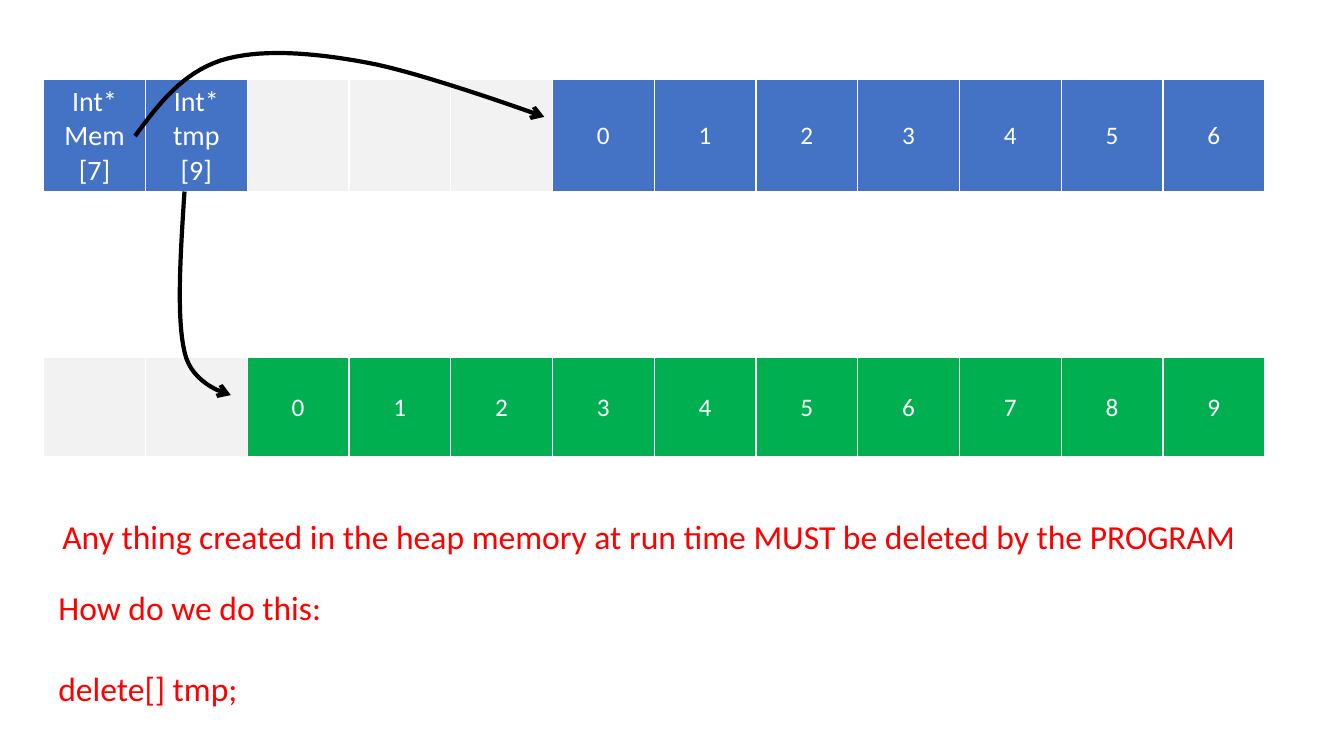
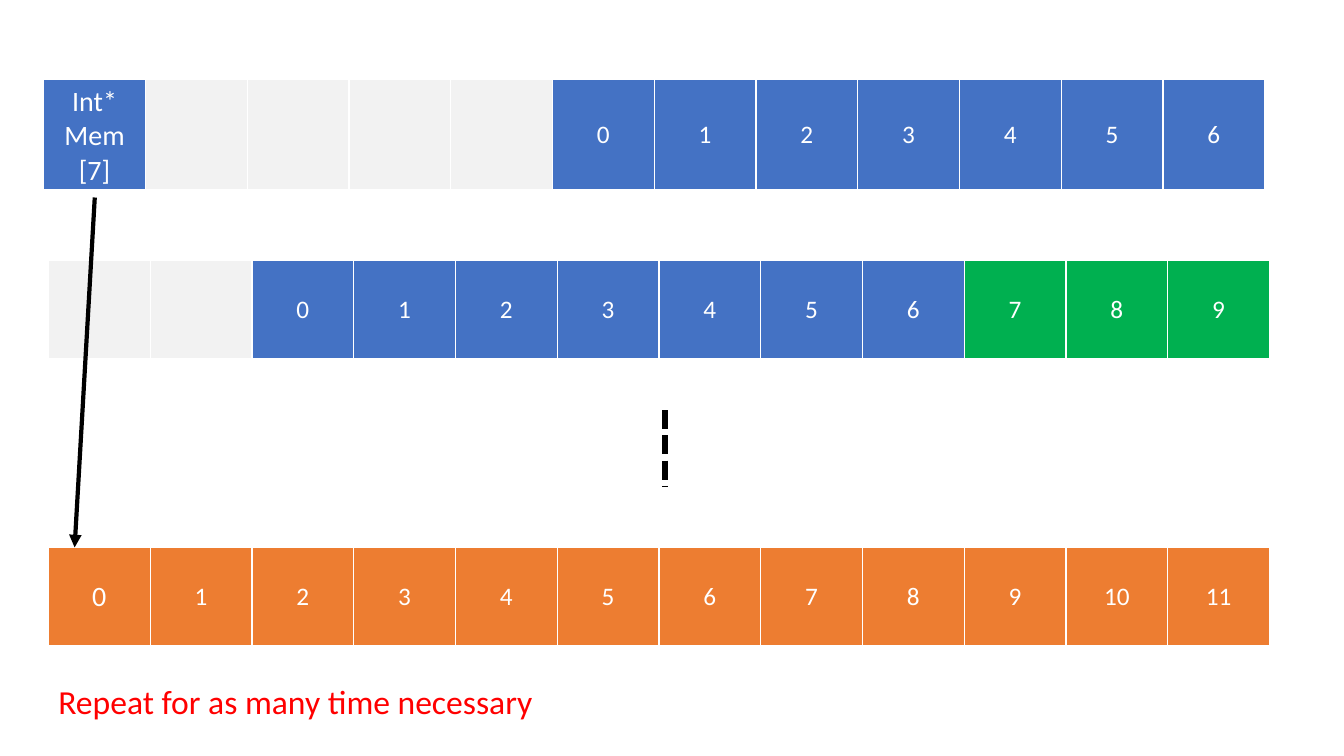
"""Build two slides on how heap memory is handed out, copied and freed."""
from dataclasses import dataclass

from lxml.etree import SubElement
from pptx import Presentation
from pptx.dml.color import RGBColor
from pptx.enum.dml import MSO_LINE
from pptx.enum.shapes import MSO_CONNECTOR
from pptx.enum.text import MSO_ANCHOR, MSO_AUTO_SIZE, PP_ALIGN
from pptx.oxml.ns import qn
from pptx.util import Pt


@dataclass(frozen=True)
class Theme:
    font: str = "Calibri"
    white: str = "FFFFFF"
    black: str = "000000"
    red: str = "FF0000"
    blue: str = "4472C4"
    green: str = "00B050"
    orange: str = "ED7D31"
    grey: str = "F2F2F2"
    note: int = 24
    label: int = 20
    digit: int = 18


T = Theme()
WIDE, HIGH = 960, 540
CELL, ROW, TALL = 72.7, 71.3, 79.2
LEFT, INSET = 31.2, 34.6
NOTE_W = 865.4
STEPS = 16


def free(count):
    return [("", T.grey, T.digit)] * count


def run(first, stop, fill):
    return [(str(n), fill, T.digit) for n in range(first, stop)]


MEM = ("Int* Mem [7]", T.blue, T.label)
TMP = ("Int* tmp [9]", T.blue, T.label)

SLIDES = [
    {
        "rows": [
            (LEFT, 57, TALL, [MEM, TMP] + free(3) + run(0, 7, T.blue)),
            (LEFT, 255.6, ROW, free(2) + run(0, 10, T.green)),
        ],
        "notes": [
            (37.4, 365, 36, ["Any thing created in the heap memory at run time "
                             "MUST be deleted by the PROGRAM"]),
            (34.6, 415.4, 94.3, ["How do we do this:", "delete[] tmp;"]),
        ],
        "curves": [
            [(131.8, 136.8), (128.9, 181.4), (126, 226.8), (131.8, 251.3),
             (136.8, 275.8), (164.9, 282.2), (164.9, 282.2)],
            [(96.5, 97.2), (113, 74.9), (129.6, 52.6), (157.7, 43.2),
             (185, 34.6), (222.5, 37.4), (261.4, 44.6),
             (299.5, 51.1), (388.8, 83.5), (388.8, 83.5)],
        ],
        "lines": [],
    },
    {
        "rows": [
            (LEFT, 57, TALL, [MEM] + free(4) + run(0, 7, T.blue)),
            (INSET, 186, ROW, free(2) + run(0, 7, T.blue) + run(7, 10, T.green)),
            (INSET, 391, ROW, [("0", T.orange, T.label)] + run(1, 12, T.orange)),
        ],
        "notes": [(34.6, 483.1, 36, ["Repeat for as many time necessary"])],
        "curves": [],
        "lines": [
            ((475.2, 293), (475.2, 347.8), 4.5, MSO_LINE.SQUARE_DOT, None),
            ((67.7, 141.1), (53.3, 391), 3, None, "triangle"),
        ],
    },
]


def color(code):
    return RGBColor.from_string(code)


def write(para, text, size, ink):
    part = para.add_run()
    part.text = text
    part.font.name, part.font.size, part.font.bold = T.font, Pt(size), False
    part.font.color.rgb = color(ink)


def edge(cell):
    props = cell._tc.get_or_add_tcPr()
    for side, width in (("L", 1), ("R", 1), ("T", 1), ("B", 3)):
        line = SubElement(props, qn(f"a:ln{side}"), w=str(Pt(width)))
        fill = SubElement(line, qn("a:solidFill"))
        SubElement(fill, qn("a:srgbClr"), val=T.white)


def add_row(slide, left, top, height, cells):
    table = slide.shapes.add_table(1, len(cells), Pt(left), Pt(top),
                                   Pt(CELL * len(cells)), Pt(height)).table
    table.first_row = table.horz_banding = False
    for col, (text, fill, size) in enumerate(cells):
        table.columns[col].width = Pt(CELL)
        cell = table.cell(0, col)
        edge(cell)
        cell.fill.solid()
        cell.fill.fore_color.rgb = color(fill)
        cell.vertical_anchor = MSO_ANCHOR.MIDDLE
        para = cell.text_frame.paragraphs[0]
        para.alignment = PP_ALIGN.CENTER
        if text:
            write(para, text, size, T.white)


def add_note(slide, left, top, height, texts):
    frame = slide.shapes.add_textbox(Pt(left), Pt(top), Pt(NOTE_W),
                                     Pt(height)).text_frame
    frame.word_wrap = True
    frame.auto_size = MSO_AUTO_SIZE.SHAPE_TO_FIT_TEXT
    for i, text in enumerate(texts):
        para = frame.add_paragraph() if i else frame.paragraphs[0]
        if i:
            para.space_before = Pt(29)
        write(para, text, T.note, T.red)


def ink_line(shape, width, dash, head):
    shape.line.color.rgb = color(T.black)
    shape.line.width = Pt(width)
    if dash:
        shape.line.dash_style = dash
    props = shape._element.spPr
    if head:
        SubElement(props.find(qn("a:ln")), qn("a:tailEnd"), type=head)
    SubElement(props, qn("a:effectLst"))


def blend(a, b, c, d, t):
    u = 1 - t
    return tuple(Pt(u**3 * p + 3 * u * u * t * q + 3 * u * t * t * r + t**3 * s)
                 for p, q, r, s in zip(a, b, c, d))


def add_curve(slide, knots):
    spots = [blend(*knots[i:i + 4], step / STEPS)
             for i in range(0, len(knots) - 1, 3)
             for step in range(1, STEPS + 1)]
    x, y = knots[0]
    pen = slide.shapes.build_freeform(Pt(x), Pt(y))
    pen.add_line_segments(spots, close=False)
    shape = pen.convert_to_shape()
    shape.fill.background()
    ink_line(shape, 3, None, "arrow")


def add_line(slide, start, end, width, dash, head):
    ends = [Pt(v) for v in start + end]
    line = slide.shapes.add_connector(MSO_CONNECTOR.STRAIGHT, *ends)
    ink_line(line, width, dash, head)


def main():
    deck = Presentation()
    deck.slide_width, deck.slide_height = Pt(WIDE), Pt(HIGH)
    for page in SLIDES:
        slide = deck.slides.add_slide(deck.slide_layouts[6])
        for row in page["rows"]:
            add_row(slide, *row)
        for note in page["notes"]:
            add_note(slide, *note)
        for knots in page["curves"]:
            add_curve(slide, knots)
        for line in page["lines"]:
            add_line(slide, *line)
    deck.save("out.pptx")


if __name__ == "__main__":
    main()
